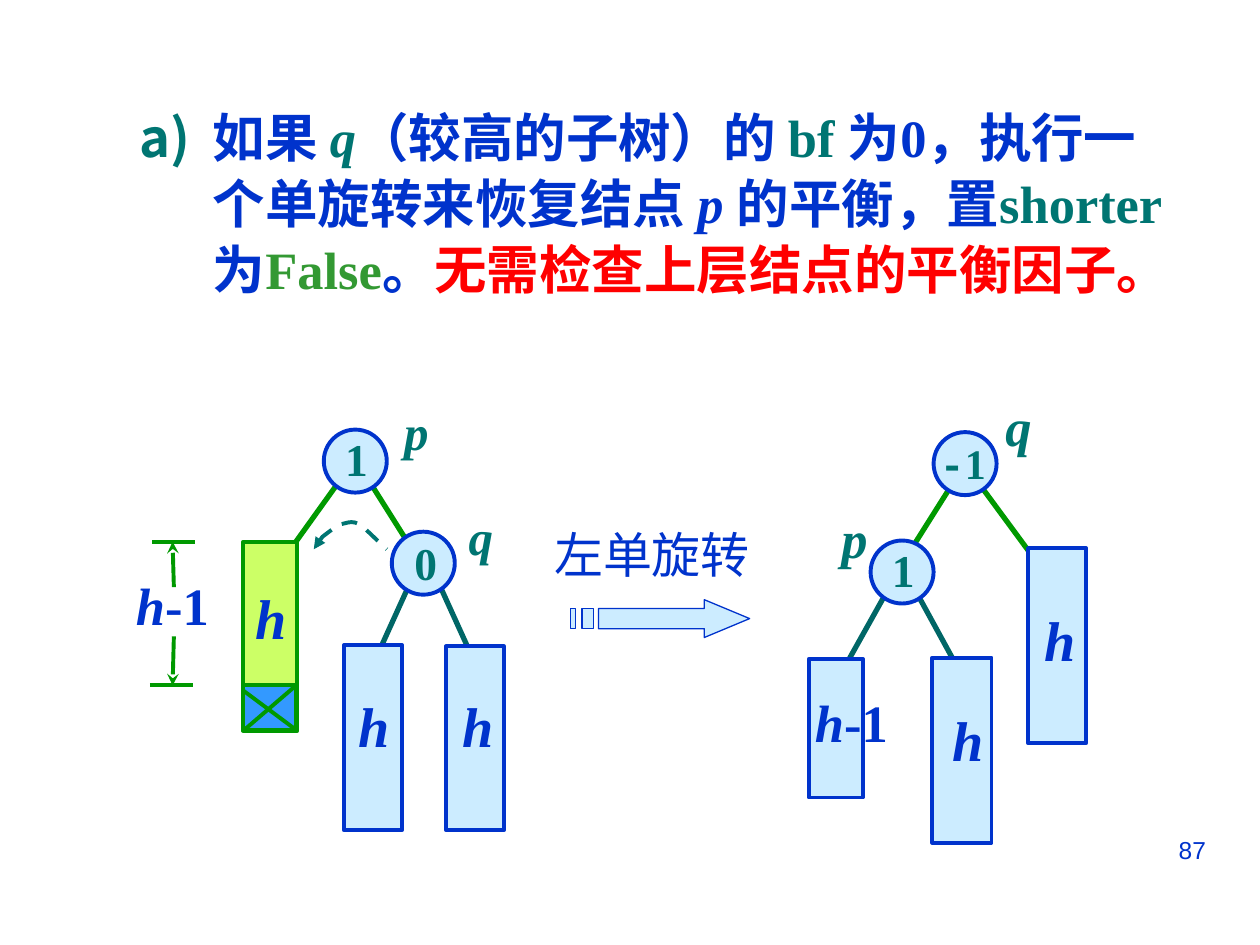
from dataclasses import dataclass
from typing import Any

from lxml import etree
from pptx import Presentation
from pptx.dml.color import RGBColor
from pptx.enum import dml, shapes, text
from pptx.oxml import ns
from pptx.util import Inches, Pt

COLORS = {
    "blue": "0033CC", "teal": "007572", "dark_teal": "006666", "green": "009900",
    "word_green": "339933", "red": "FF0000", "pale": "CCECFF", "lime": "CCFF66",
    "sky": "3399FF",
}
SERIF = "Times New Roman"
NODE = 0.5


def rgb(name):
    return RGBColor.from_string(COLORS[name])


def add_run(p, words, size, color, bold=True, italic=False, font=SERIF):
    r = p.add_run()
    r.text = words
    f = r.font
    f.name, f.size, f.bold, f.italic = font, Pt(size), bold, italic
    f.color.rgb = rgb(color)


def set_line(line, color, width):
    line.color.rgb = rgb(color)
    line.width = Pt(width)


def add_arrowhead(line, end, kind):
    etree.SubElement(line._get_or_add_ln(), ns.qn("a:" + end), type=kind)


def bezier(start, c1, c2, end, steps=5):
    """Points along a cubic curve, without its start."""
    for i in range(1, steps + 1):
        t = i / steps
        weights = ((1 - t) ** 3, 3 * t * (1 - t) ** 2, 3 * t * t * (1 - t), t ** 3)
        yield tuple(sum(w * pt[k] for w, pt in zip(weights, (start, c1, c2, end)))
                    for k in (0, 1))


@dataclass
class Region:
    """Draws parts at offsets in inches from its left top corner."""
    s: Any
    left: float
    top: float

    def place(self, x, y):
        return Inches(self.left + x), Inches(self.top + y)

    def line(self, start, end, color="green", width=3, tail=None):
        c = self.s.shapes.add_connector(
            shapes.MSO_CONNECTOR.STRAIGHT, *self.place(*start), *self.place(*end))
        set_line(c.line, color, width)
        if tail:
            add_arrowhead(c.line, "tailEnd", tail)
        etree.SubElement(c._element.spPr, ns.qn("a:effectLst"))

    def shape(self, kind, x, y, w, h, fill="pale", outline="blue"):
        sp = self.s.shapes.add_shape(kind, *self.place(x, y), Inches(w), Inches(h))
        sp.shadow.inherit = False
        sp.fill.solid()
        sp.fill.fore_color.rgb = rgb(fill)
        set_line(sp.line, outline, 2.25)

    def node(self, x, y):
        self.shape(shapes.MSO_SHAPE.OVAL, x, y, NODE, NODE)

    def subtree(self, x, y, w, h, **colors):
        self.shape(shapes.MSO_SHAPE.RECTANGLE, x, y, w, h, **colors)

    def outline(self, paths, close=True):
        first, *rest = [[self.place(*pt) for pt in path] for path in paths]
        fb = self.s.shapes.build_freeform(*first[0])
        fb.add_line_segments(first[1:], close=close)
        for path in rest:
            fb.move_to(*path[0])
            fb.add_line_segments(path[1:], close=close)
        sp = fb.convert_to_shape()
        sp.shadow.inherit = False
        return sp

    def label(self, x, y, w, h, *runs, wrap=True, align=None):
        tf = self.s.shapes.add_textbox(*self.place(x, y), Inches(w), Inches(h)).text_frame
        tf.word_wrap = wrap
        p = tf.paragraphs[0]
        p.alignment = align
        for words, size, color, *style in runs:
            add_run(p, words, size, color, *style)

    def name(self, x, y, letter, size):
        self.label(x, y, 0.52, 0.6, (letter, size, "teal", True, True))

    def factor(self, x, y, value):
        self.label(x, y, 0.58, 0.53, (value, 26, "teal"))

    def height(self, x, y, w=0.42):
        self.label(x, y, w, 0.63, ("h", 32, "blue", True, True))

    def height_less_one(self, x, y):
        self.label(x, y, 0.83, 0.6, ("h", 30, "blue", True, True), ("-1", 30, "blue"))


def rule_text(s, left, top, width, height):
    sp = s.placeholders[1]
    sp.left, sp.top, sp.width, sp.height = map(Inches, (left, top, width, height))
    tf = sp.text_frame
    tf.auto_size = text.MSO_AUTO_SIZE.NONE
    p = tf.paragraphs[0]
    p.level = 1
    pPr = p._p.get_or_add_pPr()
    pPr.set("marL", str(Inches(1.08)))
    pPr.set("indent", str(Inches(-0.58)))
    bullet_color = etree.SubElement(pPr, ns.qn("a:buClr"))
    etree.SubElement(bullet_color, ns.qn("a:srgbClr"), val=COLORS["teal"])
    etree.SubElement(pPr, ns.qn("a:buFontTx"))
    etree.SubElement(pPr, ns.qn("a:buAutoNum"), type="alphaLcParenR")
    p.line_spacing = 1.05
    p.space_before = Pt(0)
    for words, color, italic in (
            ("如果 ", "blue", False), ("q", "teal", True),
            ("（较高的子树）的 ", "blue", False), ("bf ", "teal", False),
            ("为0，执行一个单旋转来恢复结点 ", "blue", False), ("p ", "blue", True),
            ("的平衡，置", "blue", False), ("shorter", "teal", False),
            ("为", "blue", False), ("False", "word_green", False),
            ("。", "blue", False), ("无需检查上层结点的平衡因子。", "red", False)):
        add_run(p, words, 30, color, italic=italic)


def rotation_step(s, left, top):
    """Caption above a striped arrow."""
    step = Region(s, left, top)
    upper, lower = 0.72, 0.88
    arrow = [(1.29, 0.65), (1.29, upper), (0.45, upper), (0.45, lower),
             (1.29, lower), (1.29, 0.95), (1.65, 0.8)]
    stripes = [[(a, upper), (a, lower), (b, lower), (b, upper)]
               for a, b in ((0.32, 0.41), (0.23, 0.27))]
    sp = step.outline([arrow, *stripes])
    sp.fill.solid()
    sp.fill.fore_color.rgb = rgb("pale")
    set_line(sp.line, "blue", 0.75)
    step.label(0, 0, 1.76, 0.57, ("左单旋转", 28, "blue", False), wrap=False)


def rotation_arc(tree):
    knots = [(1.51, 1.22), (1.53, 1.19), (1.55, 1.16), (1.58, 1.12), (1.62, 1.09),
             (1.68, 1.04), (1.73, 1.02), (1.78, 1.01), (1.81, 0.99), (1.87, 1.02),
             (1.93, 1.06), (2.05, 1.19), (2.09, 1.22)]
    points = knots[:1]
    for i in range(0, len(knots) - 1, 3):
        points += bezier(*knots[i:i + 4])
    sp = tree.outline([points], close=False)
    sp.fill.background()
    set_line(sp.line, "teal", 2.25)
    sp.line.dash_style = dml.MSO_LINE.DASH
    add_arrowhead(sp.line, "headEnd", "triangle")


def height_measure(tree):
    for y, start, x in ((1.16, 1.52, 0.23), (2.3, 1.91, 0.21)):
        tree.line((x, y), (x + 0.34, y), width=2.25)
        tree.line((0.4, start), (0.39, y), width=2.25, tail="stealth")
    tree.height_less_one(0, 1.36)


def tree_before(s, left, top):
    tree = Region(s, left, top)
    rotation_arc(tree)
    tree.line((2.48, 1.44), (2.82, 2.19), "dark_teal")
    tree.line((2.35, 1.32), (2.01, 2.07), "dark_teal")
    tree.line((1.85, 0.52), (2.43, 1.44))
    tree.line((1.77, 0.6), (1.11, 1.52))
    tree.node(1.59, 0.27)
    tree.node(2.13, 1.08)
    tree.subtree(0.95, 1.16, 0.43, 1.5, fill="lime", outline="green")
    tree.subtree(0.95, 2.3, 0.42, 0.35, fill="sky", outline="green")
    tree.line((1.37, 2.3), (0.95, 2.66), width=2.25)
    tree.line((0.95, 2.34), (1.38, 2.66), width=2.25)
    tree.height(0.95, 1.44, 0.51)
    for x, y, h, label_x in ((1.75, 1.98, 1.47, 1.77), (2.56, 1.99, 1.46, 2.59)):
        tree.subtree(x, y, 0.46, h)
        tree.height(label_x, 2.3)
    tree.factor(1.66, 0.23, "1")
    tree.factor(2.21, 1.06, "0")
    tree.name(2.13, 0, "p", 28)
    tree.name(2.64, 0.83, "q", 28)
    height_measure(tree)


def tree_after(s, left, top):
    tree = Region(s, left, top)
    tree.line((0.7, 1.56), (0.28, 2.31), "dark_teal")
    tree.line((0.87, 1.56), (1.28, 2.31), "dark_teal")
    tree.line((1.29, 0.6), (0.71, 1.52))
    tree.line((1.35, 0.69), (2.02, 1.6))
    tree.node(1.04, 0.35)
    tree.node(0.54, 1.21)
    tree.subtree(0.05, 2.15, 0.43, 1.1)
    tree.subtree(1.03, 2.14, 0.47, 1.47)
    tree.subtree(1.79, 1.27, 0.46, 1.55)
    tree.height_less_one(0, 2.35)
    tree.height(1.09, 2.47)
    tree.height(1.82, 1.68)
    tree.factor(0.61, 1.17, "1")
    tree.label(0.99, 0.34, 0.75, 0.5,
               ("-", 24, "teal", True, False, "Courier New"), ("1", 24, "teal"))
    tree.name(0.21, 0.89, "p", 30)
    tree.name(1.51, 0, "q", 30)


def main():
    prs = Presentation()
    prs.slide_width, prs.slide_height = Inches(10), Inches(7.5)
    s = prs.slides.add_slide(prs.slide_layouts[1])
    title = s.shapes.title._element
    title.getparent().remove(title)
    rule_text(s, 0.51, 0.76, 8.83, 2.4)
    rotation_step(s, 4.3, 4.11)
    tree_after(s, 6.37, 3.08)
    tree_before(s, 0.98, 3.14)
    Region(s, 7.17, 6.58).label(0, 0, 2.5, 0.52, ("87", 14, "blue", False, False, "Arial"),
                                align=text.PP_ALIGN.RIGHT)
    prs.save("out.pptx")


if __name__ == "__main__":
    main()
